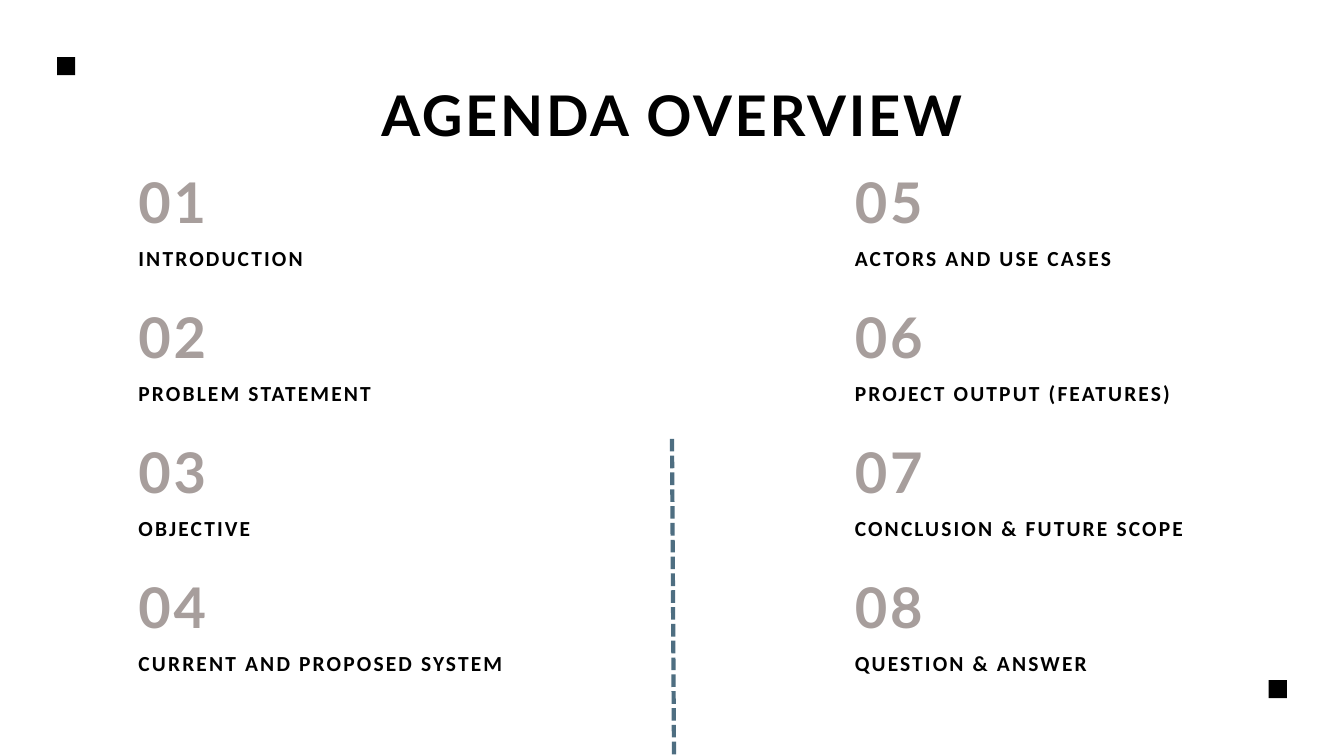
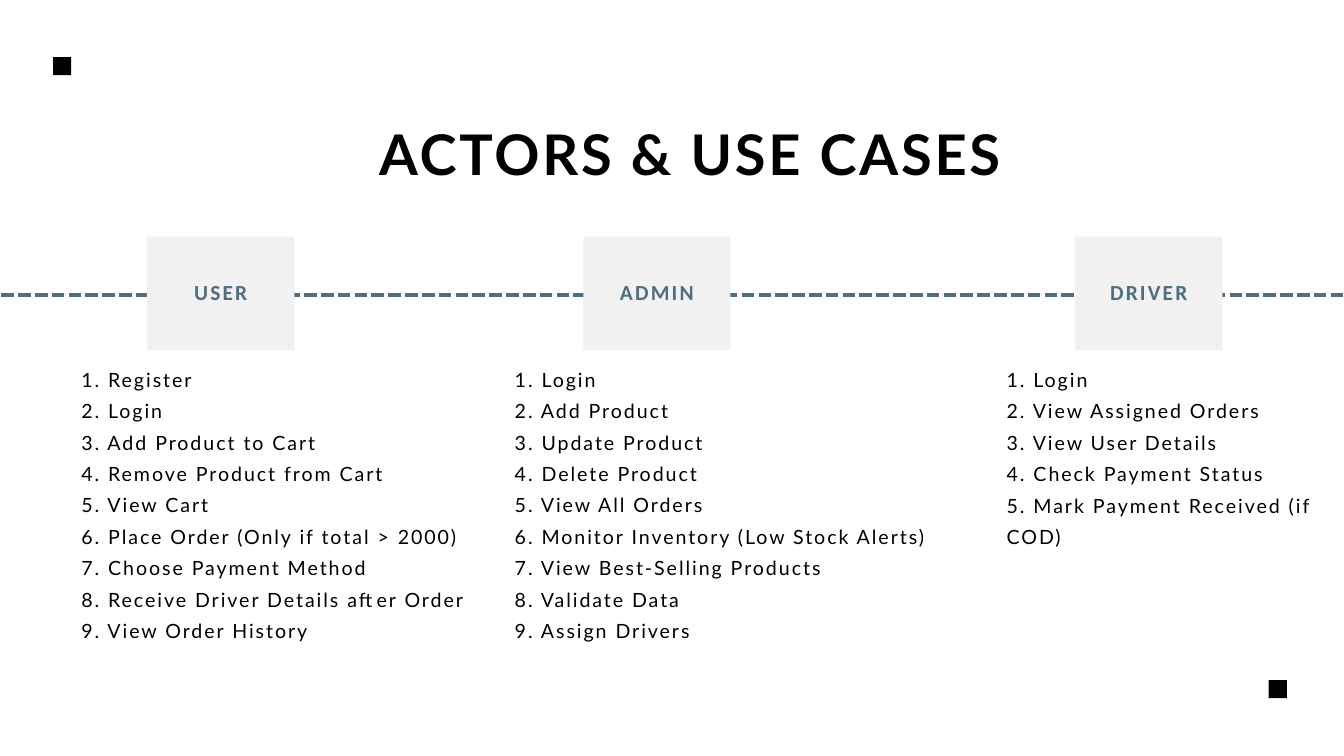
from pptx import Presentation
from pptx.dml.color import RGBColor
from pptx.enum.dml import MSO_LINE
from pptx.enum.shapes import MSO_CONNECTOR as CONN, MSO_SHAPE as SHAPE
from pptx.enum.text import MSO_ANCHOR as ANCHOR, MSO_AUTO_SIZE as AUTO, PP_ALIGN as ALIGN
from pptx.oxml.ns import qn
from pptx.util import Inches, Pt
from lxml.etree import SubElement

rgb = RGBColor.from_string
BLACK, BLUE, TAUPE, PALE = "000000", "4E6E81", "A79E9C", "F2F1F1"
LEFT, CENTER = ALIGN.LEFT, ALIGN.CENTER

TITLE = dict(size=60, font="Lato", spacing=3, line=84, bold=True)
LABEL = dict(size=23, font="Calibri", spacing=2.3, line=32.2, bold=True)
ACTOR = dict(LABEL, line=34.5)
LIST = dict(size=21, font="Lato", spacing=2.1, line=33.6, bold=False)


def add_text(s, text, box, style, color=BLACK, align=LEFT):
    tf = s.shapes.add_textbox(*map(Inches, box)).text_frame
    tf.margin_left = tf.margin_top = tf.margin_right = tf.margin_bottom = 0
    tf.word_wrap = True
    tf.auto_size = AUTO.SHAPE_TO_FIT_TEXT
    write(tf, text, style, color, align)


def write(tf, text, style, color, align):
    tf.text = text
    for p in tf.paragraphs:
        p.alignment = align
        p.line_spacing = Pt(style["line"])
        for r in p.runs:
            r.font.size = Pt(style["size"])
            r.font.name = style["font"]
            r.font.bold = style["bold"]
            r.font.color.rgb = rgb(color)
            r._r.get_or_add_rPr().set("spc", str(round(style["spacing"] * 100)))


prs = Presentation()
prs.slide_width = Inches(20)
prs.slide_height = Inches(11.25)

frames = [
    ("AGENDA OVERVIEW", (2.06, 1.03, 15.88, 1.18), (10, 6.53, 10.03, 11.25), 0.85),
    ("ACTORS & USE CASES", (1.59, 1.61, 17.36, 1.18), (0.02, 4.39, 20.02, 4.39), 0.79),
]
for title, title_box, dash_ends, corner_x in frames:
    s = prs.slides.add_slide(prs.slide_layouts[6])
    dash = s.shapes.add_connector(CONN.STRAIGHT, *map(Inches, dash_ends))
    dash.line.color.rgb = rgb(BLUE)
    dash.line.width = Pt(4.5)
    dash.line.dash_style = MSO_LINE.SQUARE_DOT
    SubElement(dash._element.spPr, qn("a:effectLst"))
    add_text(s, title, title_box, TITLE, align=CENTER)
    for x, y in ((corner_x, 0.85), (18.88, 10.12)):
        corner = s.shapes.add_shape(SHAPE.RECTANGLE, Inches(x), Inches(y), Inches(0.27), Inches(0.27))
        corner.shadow.inherit = False
        corner.fill.solid()
        corner.fill.fore_color.rgb = rgb(BLACK)
        corner.line.fill.background()

agenda, actors = prs.slides

topics = [
    "INTRODUCTION", "PROBLEM STATEMENT", "OBJECTIVE", "CURRENT AND PROPOSED SYSTEM",
    "ACTORS AND USE CASES", "PROJECT OUTPUT (FEATURES)", "CONCLUSION & FUTURE SCOPE",
    "QUESTION & ANSWER",
]
for i, topic in enumerate(topics):
    col, row = divmod(i, 4)
    x, y = 2.06 + col * 10.66, 2.33 + row * 2.01
    add_text(agenda, f"{i + 1:02}", (x, y, 5.22, 1.18), TITLE, TAUPE)
    add_text(agenda, topic, (x, y + 1.25, 6.3, 0.43), LABEL)

roles = [
    ("USER", 2.19, 1.21, 6.22, [
        "Register", "Login", "Add Product to Cart", "Remove Product from Cart", "View Cart",
        "Place Order (Only if total > 2000)", "Choose Payment Method",
        "Receive Driver Details after Order", "View Order History"]),
    ("ADMIN", 8.68, 7.66, 6.38, [
        "Login", "Add Product", "Update Product", "Delete Product", "View All Orders",
        "Monitor Inventory (Low Stock Alerts)", "View Best-Selling Products",
        "Validate Data", "Assign Drivers"]),
    ("DRIVER", 16, 14.98, 5.02, [
        "Login", "View Assigned Orders", "View User Details", "Check Payment Status",
        "Mark Payment Received (if COD)"]),
]
for role, box_x, list_x, list_w, cases in roles:
    box = actors.shapes.add_shape(SHAPE.RECTANGLE, Inches(box_x), Inches(3.52), Inches(2.19), Inches(1.69))
    box.shadow.inherit = False
    box.fill.solid()
    box.fill.fore_color.rgb = rgb(PALE)
    box.line.fill.background()
    tf = box.text_frame
    tf.margin_left = tf.margin_right = tf.margin_top = Inches(0.06)
    tf.margin_bottom = Inches(0.2)
    tf.vertical_anchor = ANCHOR.MIDDLE
    write(tf, role, ACTOR, BLUE, CENTER)
    numbered = "\n".join(f"{n}. {case}" for n, case in enumerate(cases, 1))
    list_h = 4.56 if len(cases) == 9 else 3.19
    add_text(actors, numbered, (list_x, 5.36, list_w, list_h), LIST)

prs.save("out.pptx")
